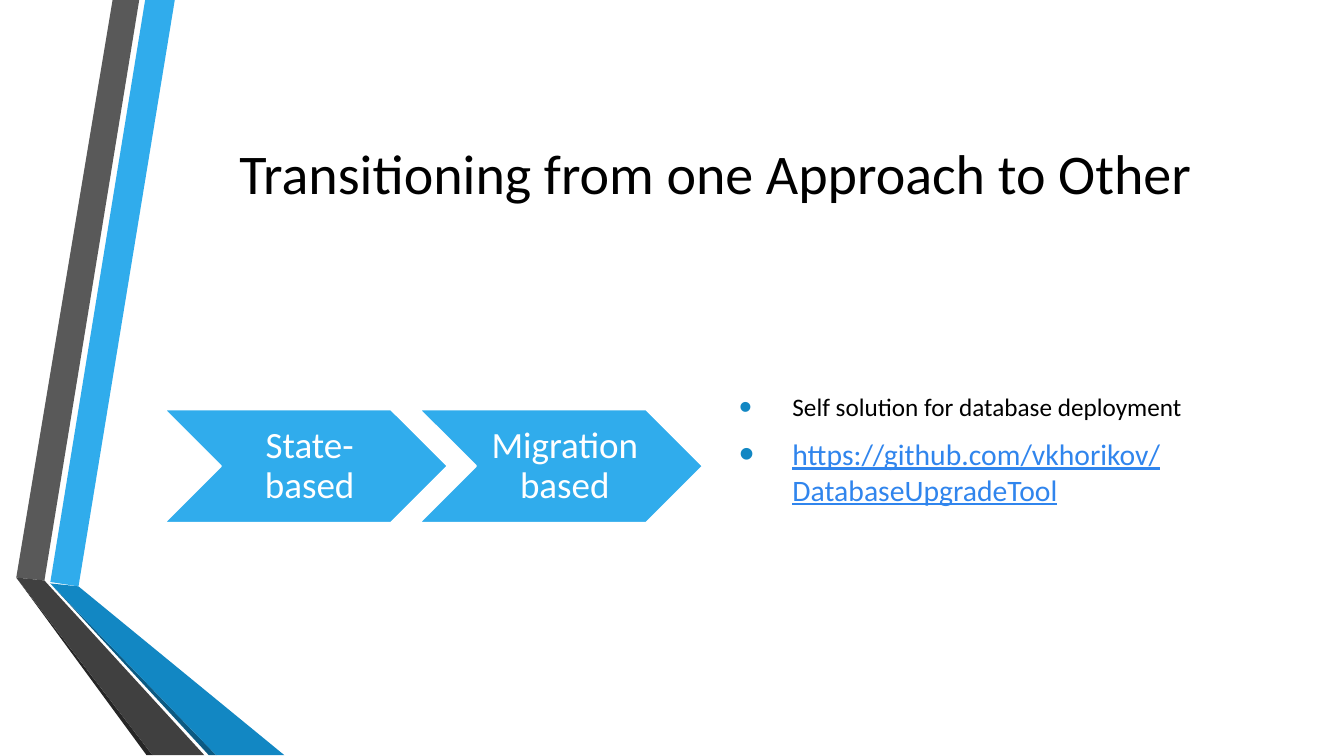
from dataclasses import dataclass

from lxml.etree import SubElement
from pptx import Presentation
from pptx.dml.color import RGBColor as Color
from pptx.enum.shapes import MSO_SHAPE as Preset
from pptx.enum.text import MSO_ANCHOR as Anchor, PP_ALIGN as Align
from pptx.oxml.ns import qn
from pptx.util import Pt


@dataclass(frozen=True)
class Theme:
    """Colours, font and type sizes of the deck."""
    font: str = "Calibri"
    title: float = 37.8
    label: float = 25
    body: float = 17
    link: float = 20
    black: str = "000000"
    white: str = "FFFFFF"
    sky: str = "30ACEC"
    blue: str = "1287C3"
    navy: str = "0C5A82"
    grey: str = "595959"
    dark: str = "404040"
    shade: str = "262626"
    link_blue: str = "3085ED"


class SlideBuilder:
    """Draws styled elements on the current slide."""

    def __init__(self, page, theme):
        self.page = page
        self.theme = theme

    def style_text(self, para, size, color, underline=None):
        """Format every run of a paragraph."""
        for span in para.runs:
            span.font.name = self.theme.font
            span.font.size = Pt(size)
            span.font.color.rgb = Color.from_string(color)
            span.font.underline = underline

    def set_frame(self, shape, margins):
        """Wrap and centre text vertically within the given margins."""
        frame = shape.text_frame
        frame.word_wrap = True
        frame.vertical_anchor = Anchor.MIDDLE
        (frame.margin_left, frame.margin_top,
         frame.margin_right, frame.margin_bottom) = map(Pt, margins)
        return frame

    def fill(self, shape, color):
        """Give a shape a flat fill without shadow."""
        shape.shadow.inherit = False
        shape.fill.solid()
        shape.fill.fore_color.rgb = Color.from_string(color)

    def band(self, color, points):
        """Draw a closed outline without a border."""
        start, *rest = points
        outline = self.page.shapes.build_freeform(*start, scale=Pt(1))
        outline.add_line_segments(rest, close=True)
        shape = outline.convert_to_shape()
        self.fill(shape, color)
        shape.line.fill.background()

    def title(self, text, left, top, width, height):
        """Add the centred slide title."""
        box = self.page.shapes.add_textbox(*map(Pt, (left, top, width, height)))
        frame = self.set_frame(box, (7.2, 3.6, 7.2, 3.6))
        frame.text = text
        para = frame.paragraphs[0]
        para.alignment = Align.CENTER
        self.style_text(para, self.theme.title, self.theme.black)

    def chevron(self, text, left, top, width, height):
        """Add one labelled step arrow."""
        shape = self.page.shapes.add_shape(
            Preset.CHEVRON, *map(Pt, (left, top, width, height)))
        self.fill(shape, self.theme.sky)
        shape.line.color.rgb = Color.from_string(self.theme.white)
        shape.line.width = Pt(1.25)
        frame = self.set_frame(shape, (8, 3, 3, 3))
        frame.text = text
        para = frame.paragraphs[0]
        para.alignment = Align.CENTER
        para.line_spacing = 0.9
        self.style_text(para, self.theme.label, self.theme.white)

    def bullet(self, para):
        """Give a paragraph a hanging coloured bullet."""
        props = para._p.get_or_add_pPr()
        props.set("marL", str(Pt(36)))
        props.set("indent", str(-Pt(36)))
        color = SubElement(props, qn("a:buClr"))
        SubElement(color, qn("a:srgbClr"), val=self.theme.blue)
        SubElement(props, qn("a:buSzPct"), val="145000")
        SubElement(props, qn("a:buFont"), typeface="Arial")
        SubElement(props, qn("a:buChar"), char="•")

    def bullets(self, items, left, top, width, height):
        """Add a bullet list from (text, size, color, underline) items."""
        box = self.page.shapes.add_textbox(*map(Pt, (left, top, width, height)))
        frame = self.set_frame(box, (7.2, 3.6, 7.2, 27))
        frame.text = "\n".join(item[0] for item in items)
        for index, (para, item) in enumerate(zip(frame.paragraphs, items)):
            self.bullet(para)
            if index:
                para.space_before = Pt(9.7)
            self.style_text(para, *item[1:])


def main():
    """Build and save the slide."""
    theme = Theme()
    deck = Presentation()
    deck.slide_width, deck.slide_height = Pt(907.2), Pt(510.5)
    page = deck.slides.add_slide(deck.slide_layouts[6])
    slide = SlideBuilder(page, theme)

    bottom = 510.5
    bands = [
        (theme.sky, [(34, 393), (52.8, 396.5), (117.5, 0), (98.5, 0)]),
        (theme.grey, [(94.5, 0), (75.5, 0), (11.3, 389.5), (29.8, 392.5)]),
        (theme.shade, [(11.3, 389.5), (98.6, bottom), (103, bottom)]),
        (theme.navy, [(34, 393.8), (141, bottom), (145.5, bottom)]),
        (theme.blue, [(34, 393.5), (145.5, bottom), (192.5, bottom), (52.8, 396.5)]),
        (theme.dark, [(11.3, 389.5), (103, bottom), (137.5, bottom), (29.8, 392.5)]),
    ]
    for color, points in bands:
        slide.band(color, points)

    slide.title("Transitioning from one Approach to Other", 110.2, 51.1, 745.2, 130.3)
    for index, label in enumerate(("State-based", "Migration based")):
        slide.chevron(label, 110.9 + 172.2 * index, 276.5, 191.3, 76.5)
    slide.bullets([
        ("Self solution for database deployment", theme.body, theme.black, None),
        ("https://github.com/vkhorikov/DatabaseUpgradeTool",
         theme.link, theme.link_blue, True),
    ], 491.8, 198.7, 364.3, 232.6)

    deck.save("out.pptx")


if __name__ == "__main__":
    main()
